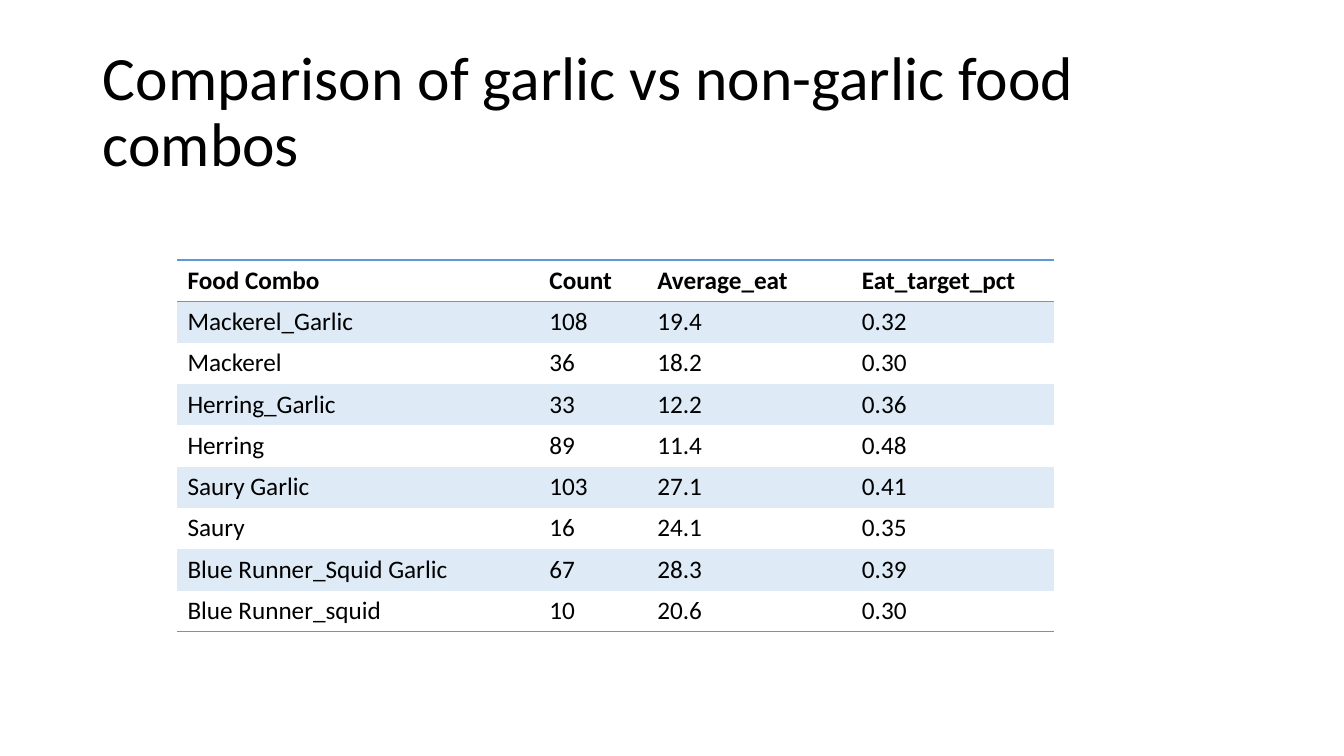
from lxml.etree import SubElement
from pptx import Presentation
from pptx.dml.color import RGBColor
from pptx.enum.text import MSO_ANCHOR, MSO_AUTO_SIZE, PP_ALIGN
from pptx.oxml import parse_xml
from pptx.oxml.ns import nsdecls, qn
from pptx.util import Inches, Pt

NO_STYLE = "{2D5ABB26-0587-4C30-8999-92F81FD0307C}"
HEADERS = ["Food Combo", "Count", "Average_eat", "Eat_target_pct"]
COMBOS = [
    ["Mackerel_Garlic", "108", "19.4", "0.32"],
    ["Mackerel", "36", "18.2", "0.30"],
    ["Herring_Garlic", "33", "12.2", "0.36"],
    ["Herring", "89", "11.4", "0.48"],
    ["Saury Garlic", "103", "27.1", "0.41"],
    ["Saury", "16", "24.1", "0.35"],
    ["Blue Runner_Squid Garlic", "67", "28.3", "0.39"],
    ["Blue Runner_squid", "10", "20.6", "0.30"],
]


def color(value):
    return RGBColor.from_string(value)


class Deck:
    """Hold the style and the current slide, and add elements to it."""

    font = "Calibri"
    ink = "000000"
    accent = "5B9BD5"
    band = "DEEBF7"

    def __init__(self, prs):
        self.s = prs.slides.add_slide(prs.slide_layouts[5])

    def style(self, p, size, bold=False):
        p.alignment = PP_ALIGN.LEFT
        p.font.name = self.font
        p.font.size = Pt(size)
        p.font.bold = bold
        p.font.color.rgb = color(self.ink)

    def title(self, text, left, top, width, height):
        sp = self.s.shapes.title
        sp.left, sp.top = Inches(left), Inches(top)
        sp.width, sp.height = Inches(width), Inches(height)
        tf = sp.text_frame
        tf.text = text
        tf.word_wrap = True
        tf.auto_size = MSO_AUTO_SIZE.NONE
        tf.vertical_anchor = MSO_ANCHOR.MIDDLE
        p = tf.paragraphs[0]
        p.line_spacing = 0.9
        self.style(p, 44)

    def border(self, cell, sides):
        tcPr = cell._tc.get_or_add_tcPr()
        for i, side in enumerate(sides):
            tcPr.insert(i, parse_xml(
                f'<a:ln{side} {nsdecls("a")} w="{Pt(1)}"><a:solidFill>'
                f'<a:srgbClr val="{self.accent}"/></a:solidFill></a:ln{side}>'))

    def table(self, rows, left, top, widths, row_height):
        frame = self.s.shapes.add_table(
            len(rows), len(widths), Inches(left), Inches(top),
            Inches(sum(widths)), Inches(row_height * len(rows)))
        table = frame.table
        table.first_row = table.horz_banding = False
        tblPr = table._tbl.tblPr
        style_id = tblPr.find(qn("a:tableStyleId"))
        if style_id is None:
            style_id = SubElement(tblPr, qn("a:tableStyleId"))
        style_id.text = NO_STYLE
        for column, width in zip(table.columns, widths):
            column.width = Inches(width)
        for i, row in enumerate(rows):
            table.rows[i].height = Inches(row_height)
            sides = "TB" if i == 0 else "B" if i == len(rows) - 1 else ""
            for j, text in enumerate(row):
                cell = table.cell(i, j)
                cell.text = text
                self.style(cell.text_frame.paragraphs[0], 18, bold=i == 0)
                if i % 2:
                    cell.fill.solid()
                    cell.fill.fore_color.rgb = color(self.band)
                else:
                    cell.fill.background()
                self.border(cell, sides)


def main():
    prs = Presentation()
    prs.slide_width, prs.slide_height = Inches(13.33), Inches(7.5)
    deck = Deck(prs)
    deck.title("Comparison of garlic vs non-garlic food combos",
               0.92, 0.4, 11.5, 1.45)
    deck.table([HEADERS] + COMBOS, 1.76, 2.58, [3.59, 1.07, 2.03, 2], 0.41)
    prs.save("out.pptx")


if __name__ == "__main__":
    main()
